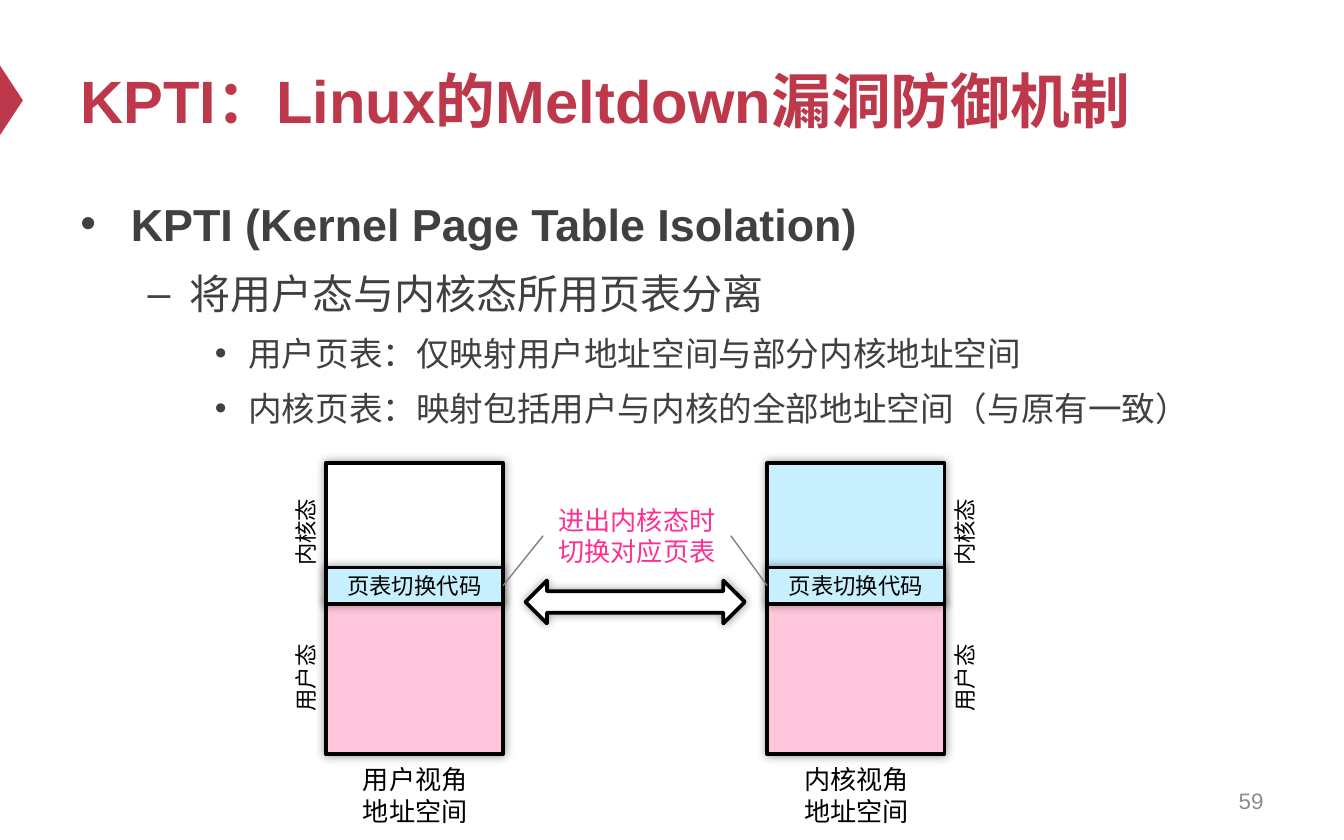
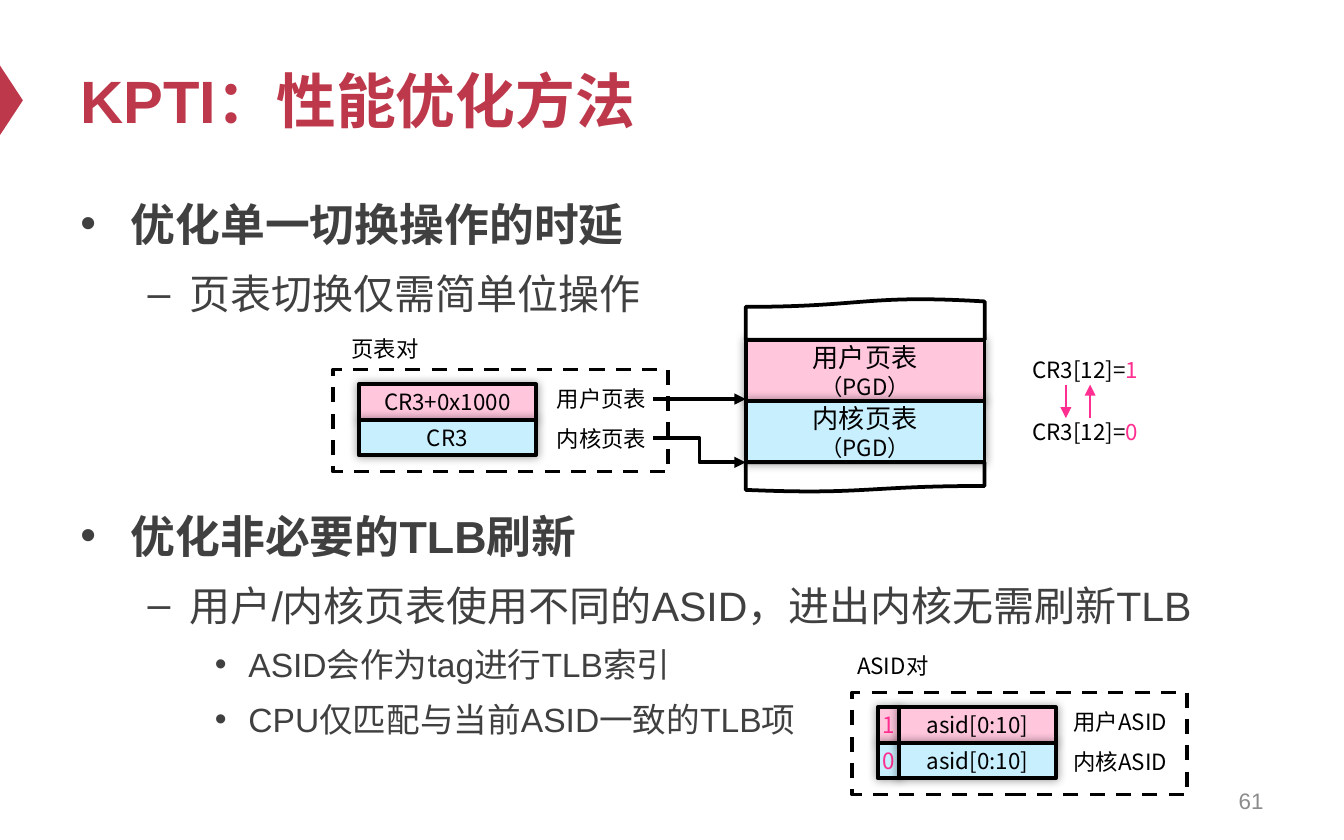
from dataclasses import dataclass

from lxml import etree
from pptx import Presentation
from pptx.dml.color import RGBColor
from pptx.enum.dml import MSO_LINE
from pptx.enum.shapes import MSO_CONNECTOR as Link, MSO_SHAPE as Preset
from pptx.enum.text import MSO_ANCHOR as Anchor, PP_ALIGN as Align
from pptx.oxml.ns import qn
from pptx.util import Pt

TOP, LEFT, BOTTOM, RIGHT = range(4)


@dataclass(frozen=True)
class Theme:
    red: str = "BE384B"
    ink: str = "404040"
    gray: str = "8C8C8C"
    guide: str = "808080"
    black: str = "000000"
    white: str = "FFFFFF"
    pink: str = "FFC6DC"
    blue: str = "C8EFFD"
    accent: str = "FF2F92"
    font: str = "Arial"
    diagram_font: str = "Noto Sans CJK SC"
    title_size: int = 32
    large: int = 14
    small: int = 12
    border: int = 2


@dataclass(frozen=True)
class Level:
    size: int
    bullet: str
    margin: float
    hang: float
    bold: bool = False


LEVELS = (
    Level(24, "•", 27, 27, True),
    Level(22, "–", 58.5, 22.5),
    Level(18, "•", 90, 18),
)


def add(parent, tag, **attributes):
    return etree.SubElement(parent, qn(tag), attributes)


class Deck:
    def __init__(self, theme):
        self.theme = theme
        self.show = Presentation()
        self.show.slide_width, self.show.slide_height = Pt(720), Pt(450)
        self.slide = None

    def new_slide(self, title, number):
        theme = self.theme
        self.slide = self.show.slides.add_slide(self.show.slide_layouts[6])
        marker = self.shape(Preset.ISOSCELES_TRIANGLE, -13, 47.5, 38, 12.5, theme.red, bordered=False)
        marker.rotation = 90
        self.text(title, 36, 18, 648, 70.5, theme.title_size, theme.red, theme.font,
                  bold=True, align=Align.LEFT, inset=7.2)
        self.text(str(number), 516, 417, 168, 24, theme.small, theme.gray, theme.font,
                  align=Align.RIGHT, inset=7.2)

    def style(self, run, size, color, font, bold=False):
        run.font.size, run.font.bold, run.font.name = Pt(size), bold, font
        run.font.color.rgb = RGBColor.from_string(color)
        add(run.font._element, "a:ea", typeface=self.theme.font)

    def fill_text(self, shape, words, sizes=None, color=None, font=None, bold=False,
                  align=Align.CENTER, anchor=Anchor.MIDDLE, inset=0):
        theme = self.theme
        frame = shape.text_frame
        frame.word_wrap = True
        frame.vertical_anchor = anchor
        frame.margin_left = frame.margin_right = Pt(inset)
        frame.margin_top = frame.margin_bottom = Pt(3.6)
        frame.text = words
        sizes = sizes or theme.small
        if isinstance(sizes, int):
            sizes = [sizes] * len(frame.paragraphs)
        for paragraph, size in zip(frame.paragraphs, sizes):
            paragraph.alignment = align
            for run in paragraph.runs:
                self.style(run, size, color or theme.black, font or theme.diagram_font, bold)

    def text(self, words, left, top, width, height, sizes=None, color=None, font=None, **layout):
        box = self.slide.shapes.add_textbox(Pt(left), Pt(top), Pt(width), Pt(height))
        self.fill_text(box, words, sizes, color, font, **layout)
        return box

    def outline(self, top, height, items):
        box = self.slide.shapes.add_textbox(Pt(36), Pt(top), Pt(648), Pt(height))
        frame = box.text_frame
        frame.word_wrap = True
        frame.text = "\n".join(words for _, words in items)
        for index, (paragraph, (depth, _)) in enumerate(zip(frame.paragraphs, items)):
            level = LEVELS[depth]
            paragraph.level = depth
            paragraph.line_spacing = 1.2
            properties = paragraph._p.get_or_add_pPr()
            properties.set("marL", str(Pt(level.margin)))
            properties.set("indent", str(-Pt(level.hang)))
            if index:
                add(add(properties, "a:spcBef"), "a:spcPct", val="20000")
            add(properties, "a:buFont", typeface=self.theme.font)
            add(properties, "a:buChar", char=level.bullet)
            for run in paragraph.runs:
                self.style(run, level.size, self.theme.ink, self.theme.font, level.bold)

    def shape(self, preset, left, top, width, height, fill, bordered=True, dashed=False):
        shape = self.slide.shapes.add_shape(preset, Pt(left), Pt(top), Pt(width), Pt(height))
        shape.shadow.inherit = False
        shape.fill.solid()
        shape.fill.fore_color.rgb = RGBColor.from_string(fill)
        if bordered:
            shape.line.color.rgb = RGBColor.from_string(self.theme.black)
            shape.line.width = Pt(self.theme.border)
        else:
            shape.line.fill.background()
        if dashed:
            shape.line.dash_style = MSO_LINE.DASH
        return shape

    def block(self, left, top, width, height, fill, words="", sizes=None, color=None,
              preset=Preset.RECTANGLE):
        block = self.shape(preset, left, top, width, height, fill)
        effects = block._element.spPr.find(qn("a:effectLst"))
        shadow = add(effects, "a:outerShdw", blurRad=str(Pt(5)), dist="0", dir="0",
                     algn="ctr", rotWithShape="0")
        add(add(shadow, "a:srgbClr", val=self.theme.black), "a:alpha", val="40000")
        if words:
            self.fill_text(block, words, sizes, color)
        return block

    def connect(self, start, end, color, weight, kind=Link.STRAIGHT, arrow=True,
                source=None, target=None):
        line = self.slide.shapes.add_connector(kind, *map(Pt, start + end))
        if source:
            line.begin_connect(*source)
        if target:
            line.end_connect(*target)
        line.line.color.rgb = RGBColor.from_string(color)
        line.line.width = Pt(weight)
        if arrow:
            add(line._element.spPr.find(qn("a:ln")), "a:tailEnd", type="triangle")
        add(line._element.spPr, "a:effectLst")

    def address_space(self, left, side_center, kernel_fill, caption):
        theme, width = self.theme, 95
        self.block(left, 248, width, 75, kernel_fill)
        self.block(left, 323, width, 81, theme.pink)
        switch_code = self.block(left, 304, width, 19.5, theme.blue, "页表切换代码")
        for words, middle in (("内核态", 285), ("用户态", 363)):
            mode = self.text(words, side_center - 39, middle - 10.8, 78, 21.6)
            mode.rotation = 270
        self.text(caption, left - 36, 405.5, 168, 41, theme.large, anchor=Anchor.TOP)
        return switch_code

    def pair_frame(self, left, top, heading, heading_width, heading_rise, names, columns):
        self.shape(Preset.RECTANGLE, left, top, 179.5, 54.7, self.theme.white, dashed=True)
        self.text(heading, left, top - heading_rise, heading_width, 21.6)
        labels = [self.text(name, left + 116, top + 5 + 21 * row, 55.5, 21.6)
                  for row, name in enumerate(names)]
        cell_left = left + 13.7
        for width, cells, color in columns:
            for row, (words, fill) in enumerate(zip(cells, (self.theme.pink, self.theme.blue))):
                self.block(cell_left, top + 7.9 + 19 * row, width, 19, fill, words, color=color)
            cell_left += width
        return labels

    def register_bit(self, top, bit):
        box = self.text("CR3[12]=", 547, top, 69, 21.6)
        run = box.text_frame.paragraphs[0].add_run()
        run.text = bit
        self.style(run, self.theme.small, self.theme.accent, self.theme.diagram_font)


def isolation_slide(deck):
    theme = deck.theme
    deck.new_slide("KPTI：Linux的Meltdown漏洞防御机制", 59)
    deck.outline(96, 336, [
        (0, "KPTI (Kernel Page Table Isolation)"),
        (1, "将用户态与内核态所用页表分离"),
        (2, "用户页表：仅映射用户地址空间与部分内核地址空间"),
        (2, "内核页表：映射包括用户与内核的全部地址空间（与原有一致）"),
    ])
    user_code = deck.address_space(174.5, 163.5, theme.white, "用户视角\n地址空间")
    kernel_code = deck.address_space(411, 517, theme.blue, "内核视角\n地址空间")
    switch_note = deck.text("进出内核态时\n切换对应页表", 291, 266.5, 100.5, 41,
                            theme.large, theme.accent, anchor=Anchor.TOP)
    deck.block(281.5, 311, 117.5, 23, theme.white, preset=Preset.LEFT_RIGHT_ARROW)
    for code, note_side, code_side in ((user_code, LEFT, RIGHT), (kernel_code, RIGHT, LEFT)):
        deck.connect((291, 287), (270, 313), theme.guide, 0.75, arrow=False,
                     source=(switch_note, note_side), target=(code, code_side))


def optimization_slide(deck):
    theme = deck.theme
    deck.new_slide("KPTI：性能优化方法", 61)
    deck.outline(96, 168, [(0, "优化单一切换操作的时延"), (1, "页表切换仅需简单位操作")])
    user_label, kernel_label = deck.pair_frame(
        178.5, 198, "页表对", 55.5, 22.3, ("用户页表", "内核页表"),
        [(95, ("CR3+0x1000", "CR3"), theme.black)])

    memory_left, memory_width = 399.5, 128
    sizes = (theme.large, theme.small)
    deck.block(memory_left, 182, memory_width, 33, theme.pink, "用户页表\n（PGD）", sizes)
    deck.shape(Preset.FLOWCHART_DOCUMENT, memory_left, 247.7, memory_width, 15.8, theme.white)
    upper_memory = deck.shape(Preset.FLOWCHART_DOCUMENT, memory_left, 160, memory_width, 22,
                              theme.white)
    upper_memory.rotation = 180
    deck.block(memory_left, 214.7, memory_width, 33, theme.blue, "内核页表\n（PGD）", sizes)
    deck.connect((350, 235), (memory_left, 247.7), theme.black, theme.border, Link.ELBOW,
                 source=(kernel_label, RIGHT))
    deck.connect((350, 213.8), (memory_left, 213.8), theme.black, theme.border,
                 source=(user_label, RIGHT))

    deck.outline(263, 160.5, [
        (0, "优化非必要的TLB刷新"),
        (1, "用户/内核页表使用不同的ASID，进出内核无需刷新TLB"),
        (2, "ASID会作为tag进行TLB索引"),
        (2, "CPU仅匹配与当前ASID一致的TLB项"),
    ])
    deck.pair_frame(456.5, 371, "ASID对", 43.5, 25.2, ("用户ASID", "内核ASID"),
                    [(11.5, ("1", "0"), theme.accent),
                     (84, ("asid[0:10]", "asid[0:10]"), theme.black)])

    for top, bit in ((187, "1"), (220.3, "0")):
        deck.register_bit(top, bit)
    deck.connect((571, 206), (571, 224), theme.accent, 1.25)
    deck.connect((584, 224), (584, 206), theme.accent, 1.25)


def main():
    deck = Deck(Theme())
    isolation_slide(deck)
    optimization_slide(deck)
    deck.show.save("out.pptx")


if __name__ == "__main__":
    main()
